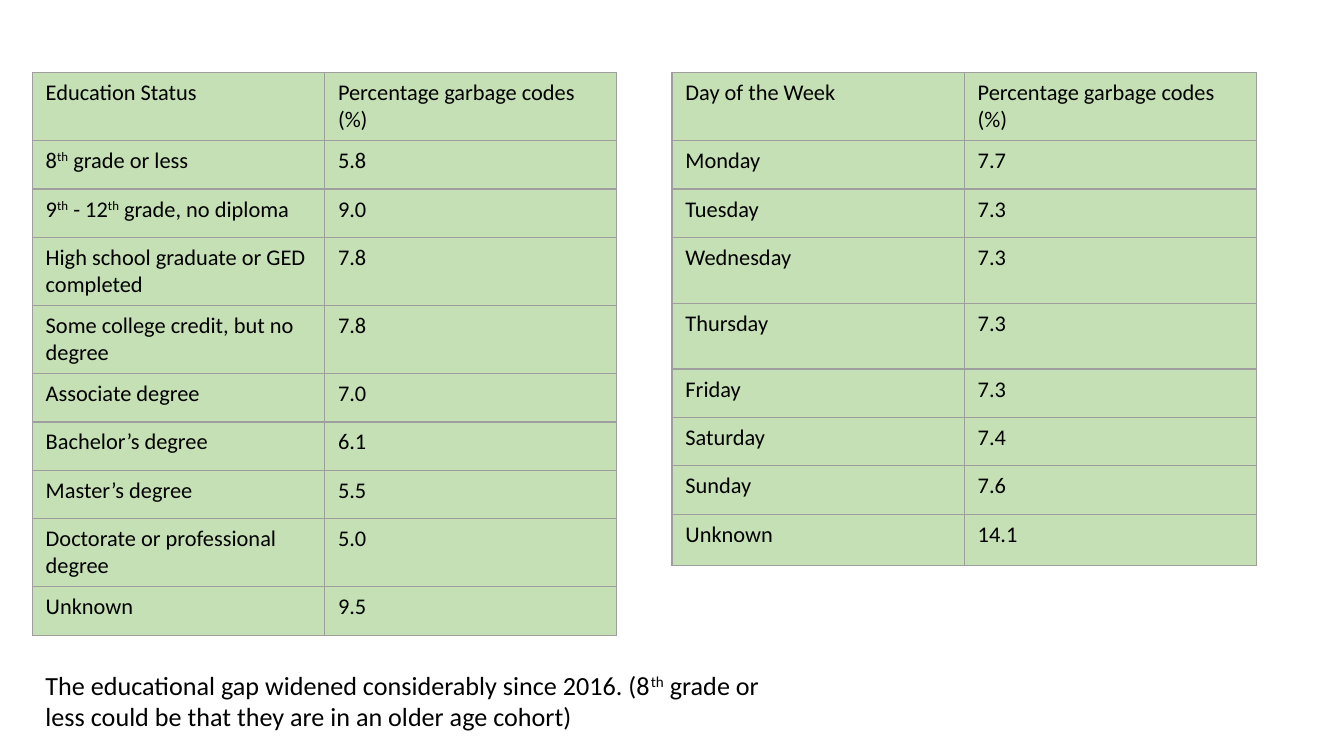
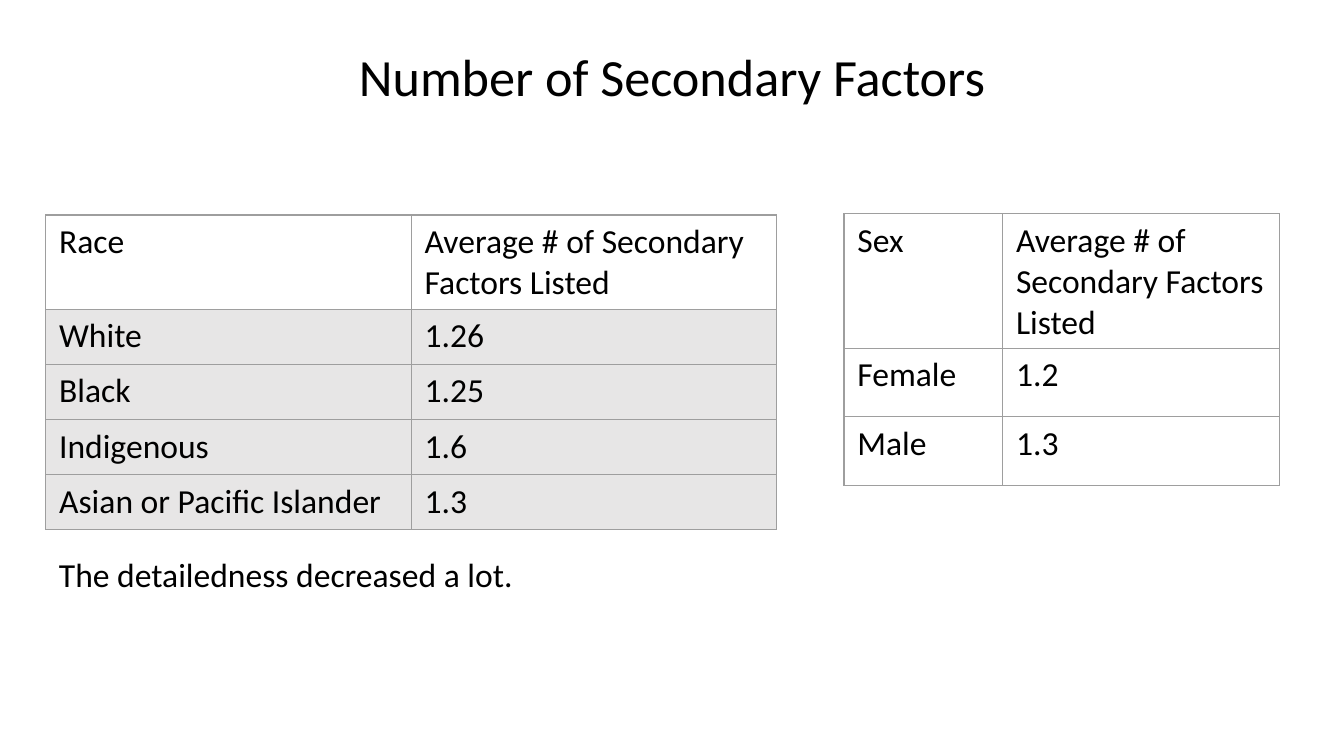
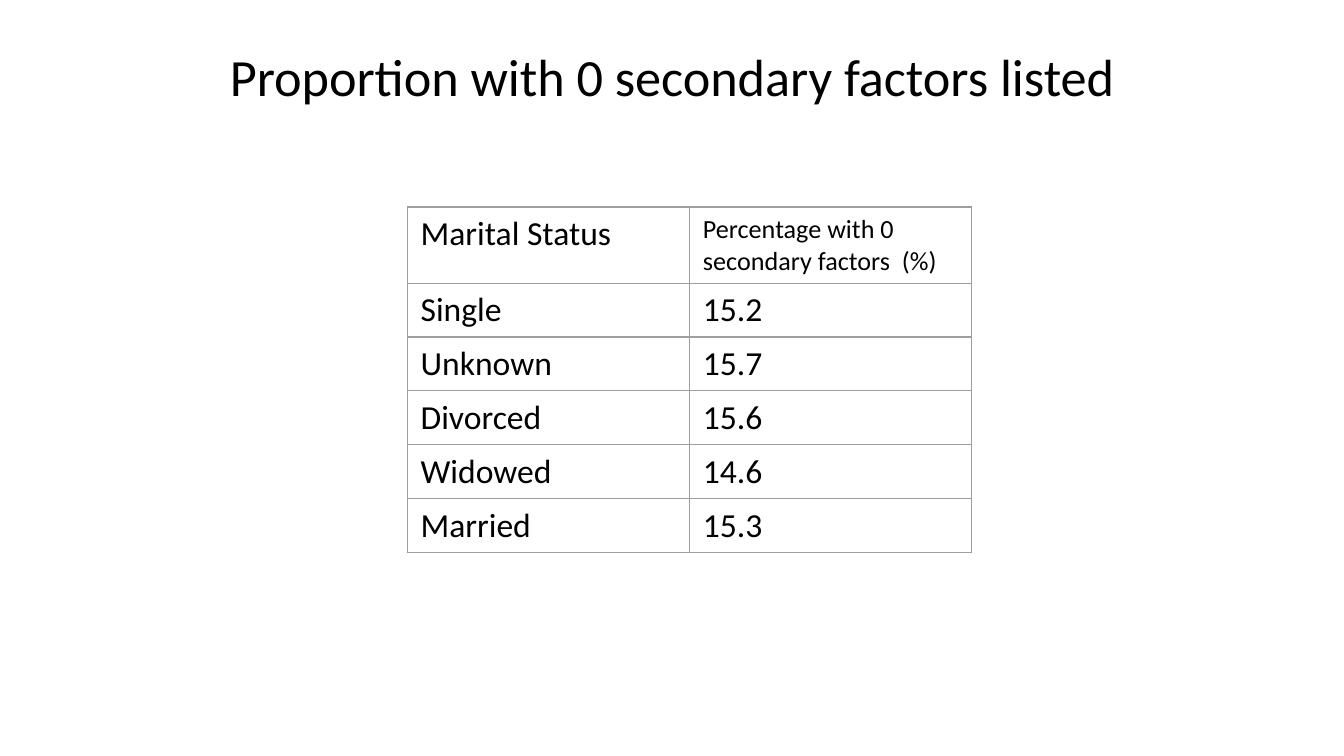
"""Builds three slides of tables on garbage codes and secondary factors."""
from lxml import etree
from pptx import Presentation
from pptx import util as u
from pptx.dml.color import RGBColor
from pptx.enum import text
from pptx.oxml.ns import qn

WIDE, HIGH = 10, 10 * 9 / 16
FONT = "Calibri"
HUE = {"ink": "000000", "rule": "9E9E9E", "green": "C5E0B4", "gray": "E7E6E6"}
EDGE = 0.34
CODES = "Percentage garbage codes (%)"
MEAN = "Average # of Secondary Factors Listed"

SCHOOL = [
    ("Education Status", CODES),
    ("8^th^ grade or less", "5.8"),
    ("9^th^ - 12^th^ grade, no diploma", "9.0"),
    ("High school graduate or GED completed", "7.8"),
    ("Some college credit, but no degree", "7.8"),
    ("Associate degree", "7.0"),
    ("Bachelor’s degree", "6.1"),
    ("Master’s degree", "5.5"),
    ("Doctorate or professional degree", "5.0"),
    ("Unknown", "9.5"),
]
DAYS = [
    ("Day of the Week", CODES),
    ("Monday", "7.7"),
    ("Tuesday", "7.3"),
    ("Wednesday", "7.3"),
    ("Thursday", "7.3"),
    ("Friday", "7.3"),
    ("Saturday", "7.4"),
    ("Sunday", "7.6"),
    ("Unknown", "14.1"),
]
RACE = [
    ("Race", MEAN),
    ("White", "1.26"),
    ("Black", "1.25"),
    ("Indigenous", "1.6"),
    ("Asian or Pacific Islander", "1.3"),
]
SEX = [("Sex", MEAN), ("Female", "1.2"), ("Male", "1.3")]
STATUS = [
    ("Marital Status", "Percentage with 0 secondary factors  (%)"),
    ("Single", "15.2"),
    ("Unknown", "15.7"),
    ("Divorced", "15.6"),
    ("Widowed", "14.6"),
    ("Married", "15.3"),
]

HALF = (2.175, 2.175)
GREEN = {"size": 12, "head": "green", "body": "green"}
SLIDES = [
    {
        "grids": [
            {"rows": SCHOOL, "at": (0.24, 0.54), "cols": HALF, "step": 0.36,
             "tall": {0: 0.49, 3: 0.49, 4: 0.49, 8: 0.49}, **GREEN},
            {"rows": DAYS, "at": (WIDE / 2, 0.54), "cols": HALF, "step": 0.36,
             "tall": {0: 0.49, 3: 0.49, 4: 0.49, 8: 0.38}, **GREEN},
        ],
        "note": ("The educational gap widened considerably since 2016. (8^th^ grade or "
                 "less could be that they are in an older age cohort)",
                 (0.24, 4.93, 5.84, 0.57), 14),
    },
    {
        "title": "Number of Secondary Factors",
        "grids": [
            {"rows": RACE, "at": (EDGE, 1.6), "cols": (2.72, 2.72), "step": 0.41,
             "body": "gray"},
            {"rows": SEX, "at": (6.28, 1.59), "cols": (1.18, 2.06), "step": 0.51,
             "tall": {0: 0.78}},
        ],
        "note": ("The detailedness decreased a lot.", (EDGE, 4.07, 3.69, 0.4), 18),
    },
    {
        "title": "Proportion with 0 secondary factors listed",
        "grids": [
            {"rows": STATUS, "at": (3.03, 1.54), "cols": (2.1, 2.1), "step": 0.4,
             "tall": {0: 0.55}, "tops": (18, 14)},
        ],
    },
]


def write(para, words, size):
    for i, part in enumerate(words.split("^")):
        run = para.add_run()
        run.text = part
        run.font.name, run.font.size = FONT, u.Pt(size)
        run.font.color.rgb = RGBColor.from_string(HUE["ink"])
        if i % 2:
            run.font._element.set("baseline", "30000")


def rule(cell):
    props = cell._tc.get_or_add_tcPr()
    for i, side in enumerate(("lnL", "lnR", "lnT", "lnB")):
        line = etree.Element(qn(f"a:{side}"), w=str(u.Pt(0.75)))
        fill = etree.SubElement(line, qn("a:solidFill"))
        etree.SubElement(fill, qn("a:srgbClr"), val=HUE["rule"])
        props.insert(i, line)


def paint(cell, hue):
    if hue:
        cell.fill.solid()
        cell.fill.fore_color.rgb = RGBColor.from_string(HUE[hue])
    else:
        cell.fill.background()


def add_grid(slide, rows, at, cols, step, tall={}, size=18, head=None, body=None, tops=None):
    highs = [tall.get(i, step) for i in range(len(rows))]
    area = [u.Inches(v) for v in (*at, sum(cols), sum(highs))]
    table = slide.shapes.add_table(len(rows), len(cols), *area).table
    table.first_row = table.horz_banding = False
    for col, wide in zip(table.columns, cols):
        col.width = u.Inches(wide)
    for i, (row, high) in enumerate(zip(rows, highs)):
        table.rows[i].height = u.Inches(high)
        for j, words in enumerate(row):
            cell = table.cell(i, j)
            paint(cell, body if i else head)
            rule(cell)
            write(cell.text_frame.paragraphs[0], words, tops[j] if tops and not i else size)


def add_text(slide, words, area, size):
    frame = slide.shapes.add_textbox(*(u.Inches(v) for v in area)).text_frame
    frame.word_wrap = True
    write(frame.paragraphs[0], words, size)
    return frame


def add_title(slide, words):
    frame = add_text(slide, words, (EDGE, 0.21, WIDE - 2 * EDGE, 0.69), 28)
    frame.vertical_anchor = text.MSO_ANCHOR.BOTTOM
    frame.margin_top = frame.margin_bottom = u.Inches(0.1)
    para = frame.paragraphs[0]
    para.alignment, para.line_spacing = text.PP_ALIGN.CENTER, 0.9


def main():
    deck = Presentation()
    deck.slide_width, deck.slide_height = u.Inches(WIDE), u.Inches(HIGH)
    for page in SLIDES:
        slide = deck.slides.add_slide(deck.slide_layouts[6])
        if "title" in page:
            add_title(slide, page["title"])
        for grid in page["grids"]:
            add_grid(slide, **grid)
        if "note" in page:
            add_text(slide, *page["note"])
    deck.save("out.pptx")


if __name__ == "__main__":
    main()
